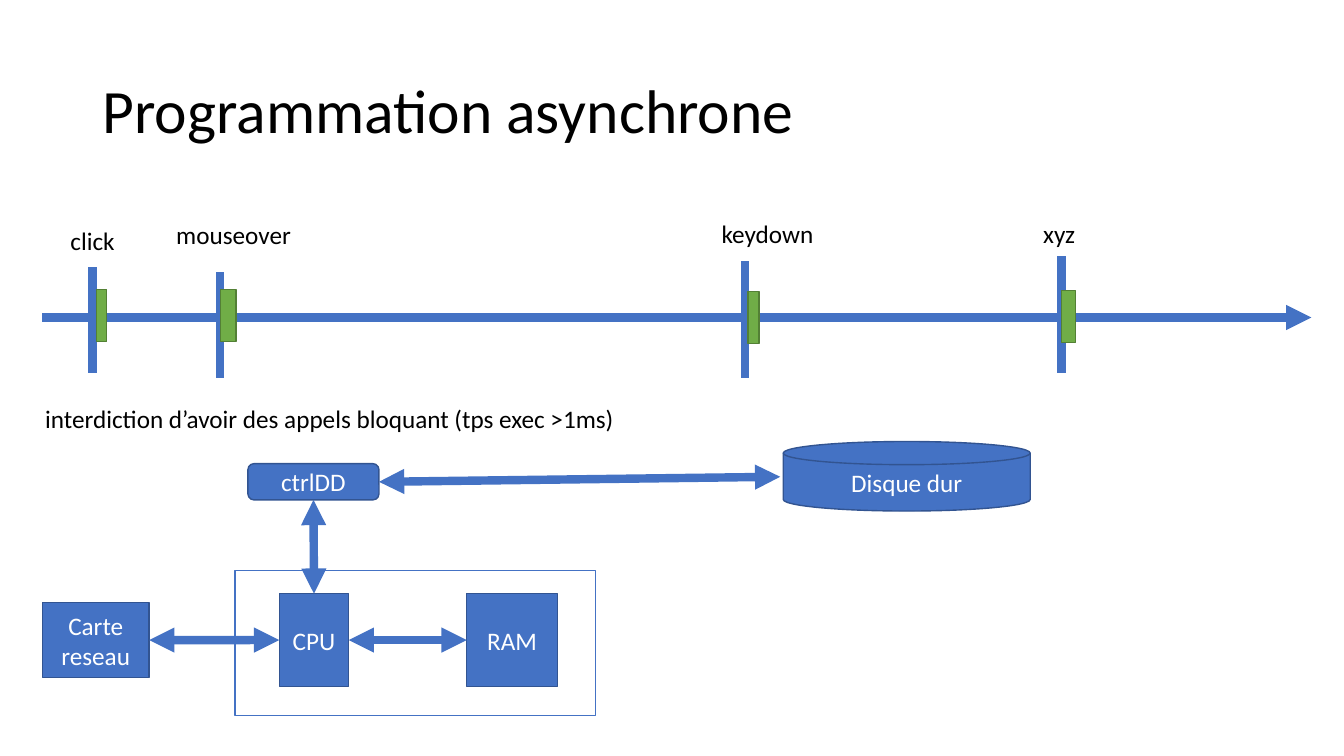
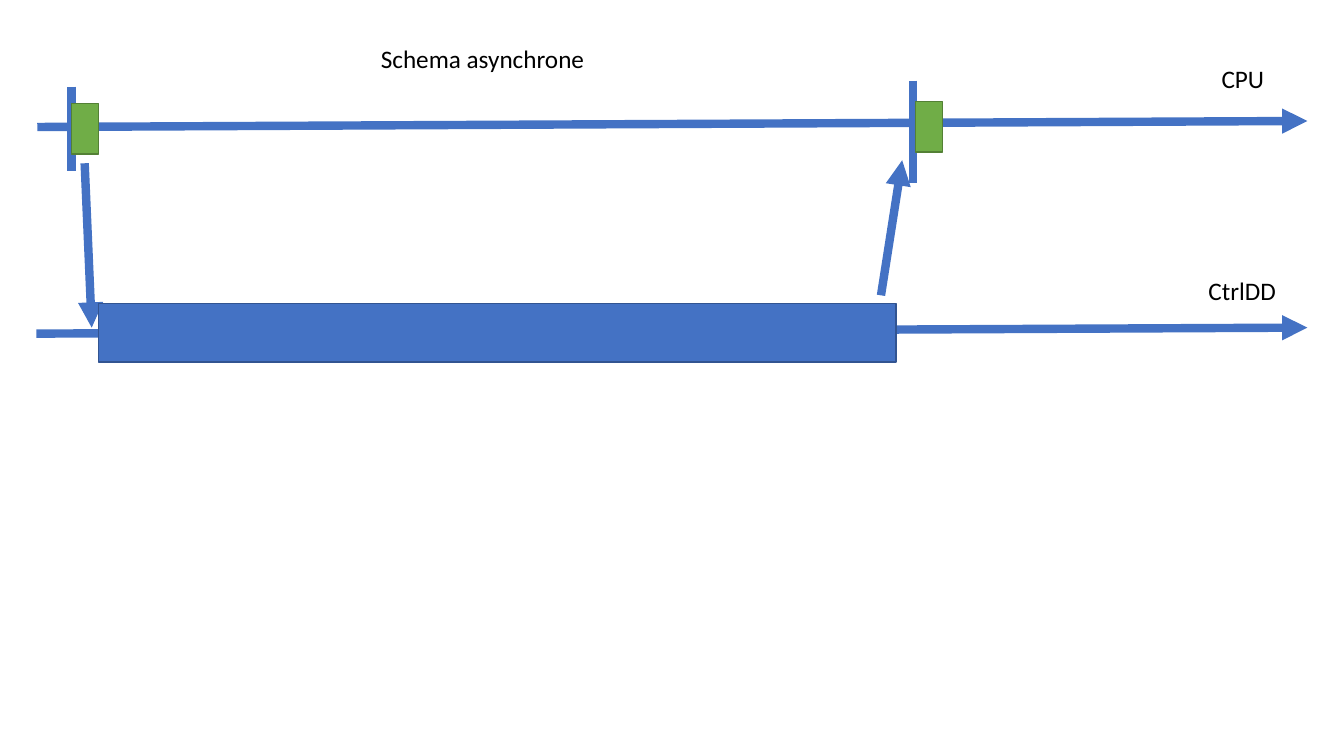
from pptx import Presentation
from pptx.dml.color import RGBColor
from pptx.enum.shapes import MSO_CONNECTOR, MSO_SHAPE
from pptx.enum.text import MSO_ANCHOR, PP_ALIGN
from pptx.oxml.ns import qn
from pptx.util import Inches, Pt
from lxml import etree

RECTANGLE = MSO_SHAPE.RECTANGLE
ROUNDED = MSO_SHAPE.ROUNDED_RECTANGLE
DISK = MSO_SHAPE.FLOWCHART_MAGNETIC_DISK
STRAIGHT = MSO_CONNECTOR.STRAIGHT
MIDDLE, TOP = MSO_ANCHOR.MIDDLE, MSO_ANCHOR.TOP
LEFT, CENTER = PP_ALIGN.LEFT, PP_ALIGN.CENTER
SIDE_TOP, SIDE_LEFT, SIDE_BOTTOM, SIDE_RIGHT = range(4)

FONT = "Calibri"
BLUE, DARK_BLUE = "4472C4", "325491"
GREEN, DARK_GREEN = "70AD47", "538035"
BLACK, WHITE = "000000", "FFFFFF"

# The grid has ten columns and ten rows to the inch.
CELL = 0.1
COLUMNS, ROWS = 133.33, 75
LABEL_ROWS = 4
BLOCK_ROWS = 5.2


def cells(*counts):
    return [Inches(count * CELL) for count in counts]


def color(value):
    return RGBColor.from_string(value)


def write(shape, text, size=18, ink=BLACK, align=LEFT, anchor=TOP, wrap=True, spacing=1.0):
    frame = shape.text_frame
    frame.word_wrap = wrap
    frame.vertical_anchor = anchor
    paragraph = frame.paragraphs[0]
    paragraph.alignment = align
    paragraph.line_spacing = spacing
    run = paragraph.add_run()
    run.text = text
    run.font.name = FONT
    run.font.size = Pt(size)
    run.font.color.rgb = color(ink)


def add_label(slide, text, left, top, width, height=LABEL_ROWS, **text_format):
    box = slide.shapes.add_textbox(*cells(left, top, width, height))
    write(box, text, **{"wrap": False, **text_format})


def add_box(slide, left, top, width, height, text="", kind=RECTANGLE, fill=BLUE, outline=DARK_BLUE):
    shape = slide.shapes.add_shape(kind, *cells(left, top, width, height))
    shape.shadow.inherit = False
    shape.fill.solid()
    shape.fill.fore_color.rgb = color(fill)
    shape.line.color.rgb = color(outline)
    shape.line.width = Pt(1)
    if text:
        write(shape, text, ink=WHITE, align=CENTER, anchor=MIDDLE)
    return shape


def add_line(slide, start=(0, 0), end=(0, 0), arrows=(), begin=None, finish=None):
    """Draw a thick line; begin and finish are (shape, side) pairs that replace a point."""
    line = slide.shapes.add_connector(STRAIGHT, *cells(*start, *end))
    line.line.color.rgb = color(BLUE)
    line.line.width = Pt(6)
    if begin:
        line.begin_connect(*begin)
    if finish:
        line.end_connect(*finish)
    outline = line.line._get_or_add_ln()
    for arrow in arrows:
        etree.SubElement(outline, qn(f"a:{arrow}"), type="triangle")
    etree.SubElement(line._element.spPr, qn("a:effectLst"))


def add_double_arrow(slide, **ends):
    add_line(slide, arrows=("headEnd", "tailEnd"), **ends)


def add_arrow(slide, start, end):
    add_line(slide, start, end, arrows=("tailEnd",))


def add_event(slide, tick, block):
    """Mark an event: a tick (column, first row, last row) and its handler block."""
    column, first_row, last_row = tick
    add_line(slide, (column, first_row), (column, last_row))
    add_box(slide, *block, fill=GREEN, outline=DARK_GREEN)


def build_programming_slide(slide):
    add_label(slide, "Programmation asynchrone", 9.2, 4, 115, 14.5,
              size=44, anchor=MIDDLE, wrap=True, spacing=0.9)

    add_arrow(slide, (4.2, 31.5), (130.1, 31.5))
    events = [
        # text, label (left, top, width), tick, block (left, top, width)
        ("click", (6, 21.9, 6.5), (9.2, 26.5, 37), (9.6, 28.7, 1)),
        ("mouseover", (16.5, 21.3, 13.5), (21.8, 27, 37.5), (21.9, 28.7, 1.5)),
        ("keydown", (70.6, 21.2, 11.2), (73.9, 25.9, 37.5), (74.2, 28.9, 1.1)),
        ("xyz", (102.5, 21.2, 5.2), (105.3, 25.4, 37), (105.3, 28.8, 1.4)),
    ]
    for text, label, tick, block in events:
        add_label(slide, text, *label)
        add_event(slide, tick, (*block, BLOCK_ROWS))
    add_label(slide, "interdiction d’avoir des appels bloquant (tps exec >1ms)", 3.5, 39.5, 59.1)

    add_box(slide, 23.3, 56.6, 35.8, 14.4, fill=WHITE, outline=BLUE)
    processor = add_box(slide, 27.7, 58.9, 6.9, 9.2, "CPU")
    memory = add_box(slide, 46.3, 58.9, 9, 9.2, "RAM")
    controller = add_box(slide, 24.6, 46, 13, 3.6, "ctrlDD", kind=ROUNDED)
    add_box(slide, 77.7, 43.8, 24.5, 6.9, "Disque dur", kind=DISK)
    network_card = add_box(slide, 4.2, 59.8, 10.6, 7.4, "Carte reseau")

    add_double_arrow(slide, begin=(processor, SIDE_RIGHT), finish=(memory, SIDE_LEFT))
    add_double_arrow(slide, begin=(controller, SIDE_BOTTOM), finish=(processor, SIDE_TOP))
    add_double_arrow(slide, begin=(controller, SIDE_RIGHT), end=(77.4, 47.3))
    add_double_arrow(slide, begin=(processor, SIDE_LEFT), finish=(network_card, SIDE_RIGHT))


def build_schema_slide(slide):
    add_label(slide, "Schema asynchrone", 36.8, 3.8, 22.4)
    add_arrow(slide, (3.7, 12.6), (129.7, 12))
    add_arrow(slide, (3.6, 33.1), (129.7, 32.5))
    add_label(slide, "CPU", 120.2, 5.8, 6.3)
    add_label(slide, "CtrlDD", 118.9, 26.8, 8.8)

    add_event(slide, (7.1, 8.6, 17), (7.1, 10.3, 2.7, 5))
    add_arrow(slide, (8.4, 16.2), (9.1, 32.5))
    add_box(slide, 9.8, 30.1, 79.1, 5.8)
    add_arrow(slide, (87.4, 29.3), (89.5, 15.9))
    add_event(slide, (90.6, 8, 18.2), (90.8, 10.1, 2.7, 5))


def main():
    presentation = Presentation()
    presentation.slide_width, presentation.slide_height = cells(COLUMNS, ROWS)
    blank_layout = presentation.slide_layouts[6]
    for build in (build_programming_slide, build_schema_slide):
        build(presentation.slides.add_slide(blank_layout))
    presentation.save("out.pptx")


if __name__ == "__main__":
    main()
